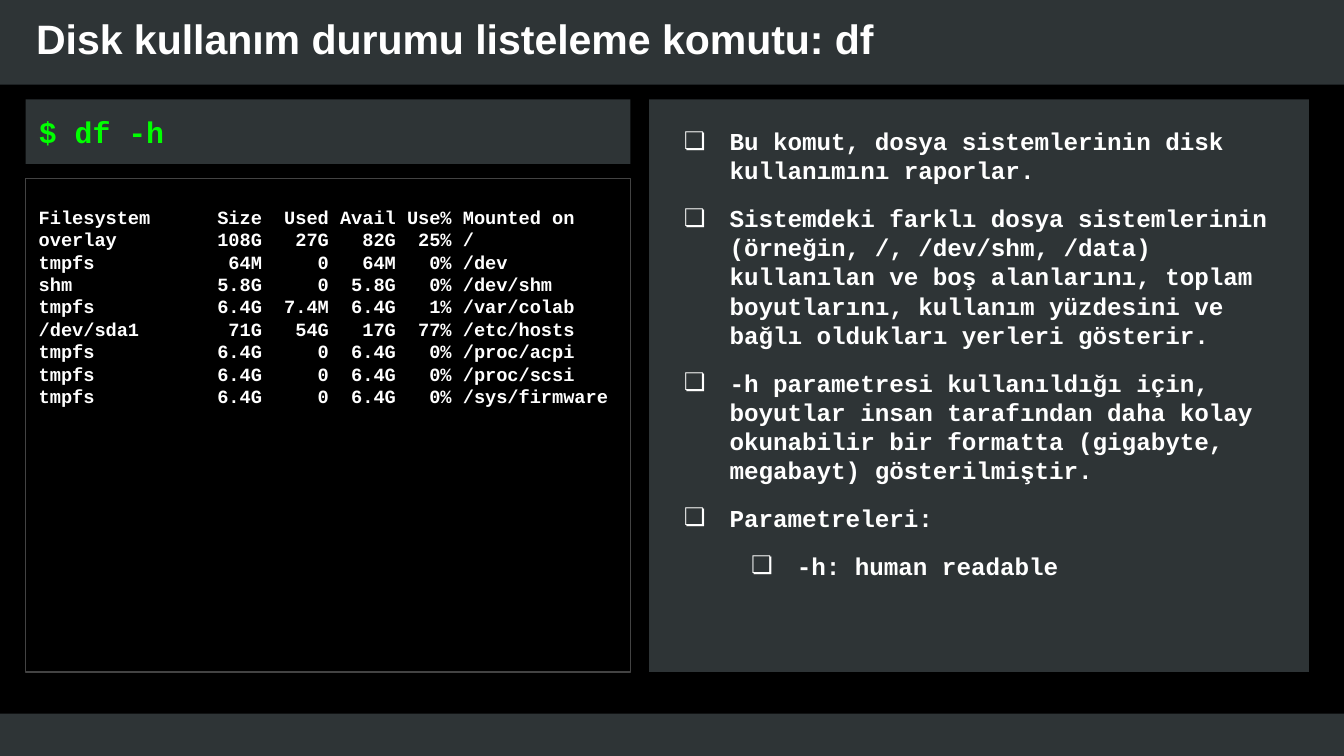
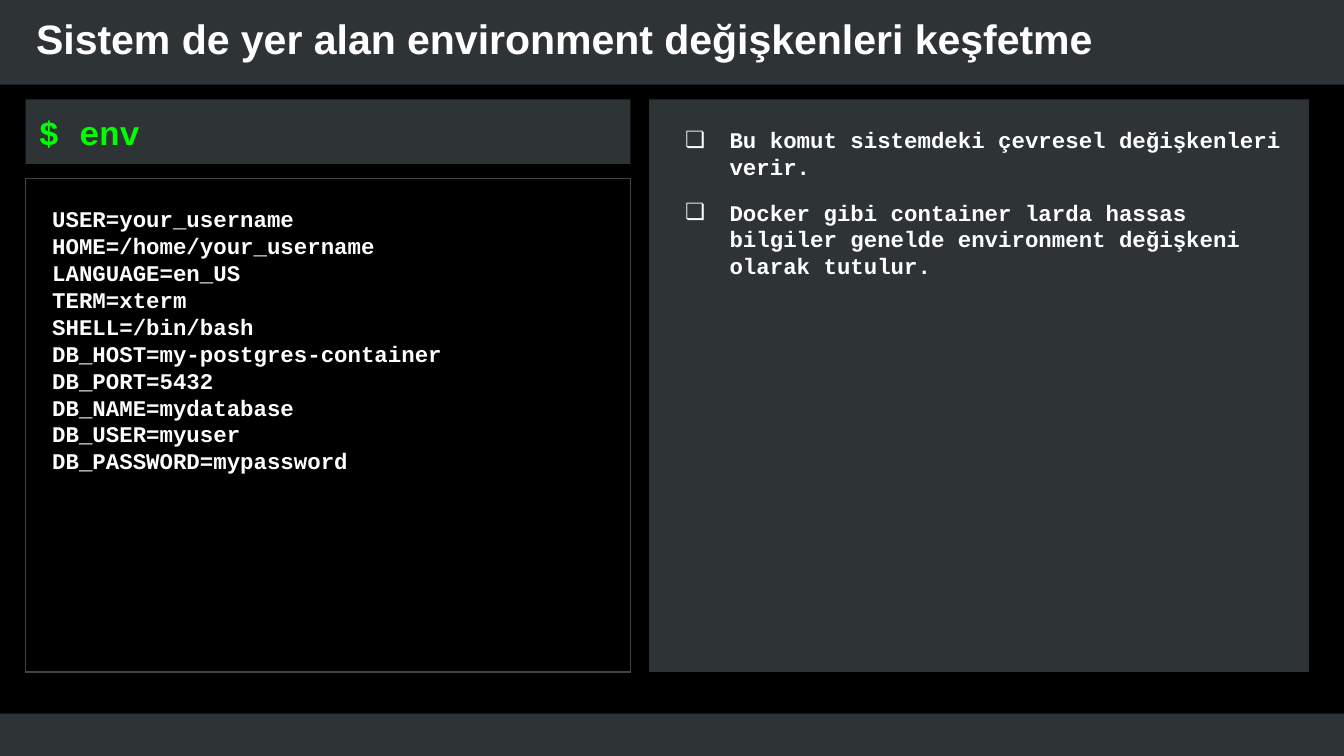
import pptx
import pptx.util
import pptx.dml.color
import pptx.enum.shapes
import pptx.enum.text
import pptx.oxml.ns
import lxml.etree

Inches = pptx.util.Inches
Pt = pptx.util.Pt
RGBColor = pptx.dml.color.RGBColor
Anchor = pptx.enum.text.MSO_ANCHOR

BLACK = RGBColor(0x00, 0x00, 0x00)
SLATE = RGBColor(0x2E, 0x34, 0x36)
GRAY = RGBColor(0x43, 0x43, 0x43)
WHITE = RGBColor(0xFF, 0xFF, 0xFF)
GREEN = RGBColor(0x00, 0xFF, 0x00)
SANS, MONO = "Arial", "Courier New"

WIDTH = 10
HEIGHT = WIDTH * 9 / 16
HEADER_BOTTOM, FOOTER_TOP = 0.63, 5.31
LEFT, TOP, BOTTOM = 0.19, 0.74, 5
LEFT_WIDTH, RIGHT, RIGHT_WIDTH = 4.5, 4.83, 4.91
COMMAND_HEIGHT, OUTPUT_TOP = 0.48, 1.33
PANEL_INSETS = (0.1, 0.2, 0.1, 0.1)

DISK_USAGE = [
    ("Filesystem", "Size", "Used", "Avail", "Use%", "Mounted on"),
    ("overlay", "108G", "27G", "82G", "25%", "/"),
    ("tmpfs", "64M", "0", "64M", "0%", "/dev"),
    ("shm", "5.8G", "0", "5.8G", "0%", "/dev/shm"),
    ("tmpfs", "6.4G", "7.4M", "6.4G", "1%", "/var/colab"),
    ("/dev/sda1", "71G", "54G", "17G", "77%", "/etc/hosts"),
    ("tmpfs", "6.4G", "0", "6.4G", "0%", "/proc/acpi"),
    ("tmpfs", "6.4G", "0", "6.4G", "0%", "/proc/scsi"),
    ("tmpfs", "6.4G", "0", "6.4G", "0%", "/sys/firmware"),
]

SLIDES = [
    {
        "title": "Disk kullanım durumu listeleme komutu: df",
        "command": "$ df -h",
        "command_size": 16,
        "output": [
            f"{name:<14}{size:>6}{used:>6}{avail:>6}{share:>5} {mount}"
            for name, size, used, avail, share, mount in DISK_USAGE
        ],
        "output_size": 10,
        "output_indent": 0,
        "notes": [
            (0, "Bu komut, dosya sistemlerinin disk kullanımını raporlar."),
            (0, "Sistemdeki farklı dosya sistemlerinin (örneğin, /, /dev/shm, /data) "
                "kullanılan ve boş alanlarını, toplam boyutlarını, kullanım yüzdesini "
                "ve bağlı oldukları yerleri gösterir."),
            (0, "-h parametresi kullanıldığı için, boyutlar insan tarafından daha kolay "
                "okunabilir bir formatta (gigabyte, megabayt) gösterilmiştir."),
            (0, "Parametreleri:"),
            (1, "-h: human readable"),
        ],
        "notes_size": 13,
        "hanging": 0.34,
    },
    {
        "title": "Sistem de yer alan environment değişkenleri keşfetme",
        "command": "$ env",
        "command_size": 18,
        "output": [
            "USER=your_username",
            "HOME=/home/your_username",
            "LANGUAGE=en_US",
            "TERM=xterm",
            "SHELL=/bin/bash",
            "DB_HOST=my-postgres-container",
            "DB_PORT=5432",
            "DB_NAME=mydatabase",
            "DB_USER=myuser",
            "DB_PASSWORD=mypassword",
        ],
        "output_size": 12,
        "output_indent": 0.1,
        "notes": [
            (0, "Bu komut sistemdeki çevresel değişkenleri verir."),
            (0, "Docker gibi container larda hassas bilgiler genelde environment "
                "değişkeni olarak tutulur."),
        ],
        "notes_size": 12,
        "hanging": 0.33,
    },
]


def add_panel(page, left, top, width, height, fill=None, line=None):
    panel = page.shapes.add_shape(
        pptx.enum.shapes.MSO_SHAPE.RECTANGLE,
        Inches(left), Inches(top), Inches(width), Inches(height))
    panel.shadow.inherit = False
    if fill is None:
        panel.fill.background()
    else:
        panel.fill.solid()
        panel.fill.fore_color.rgb = fill
    if line is None:
        panel.line.fill.background()
    else:
        panel.line.color.rgb = line
        panel.line.width = Pt(0.75)
    return panel


def set_frame(box, insets, anchor):
    frame = box.text_frame
    frame.word_wrap = True
    frame.vertical_anchor = anchor
    (frame.margin_left, frame.margin_top,
     frame.margin_right, frame.margin_bottom) = map(Inches, insets)
    return frame


def add_bullet(properties):
    tag = pptx.oxml.ns.qn
    color = lxml.etree.SubElement(properties, tag("a:buClr"))
    lxml.etree.SubElement(color, tag("a:srgbClr"), val=str(WHITE))
    lxml.etree.SubElement(properties, tag("a:buFont"), typeface=SANS)
    lxml.etree.SubElement(properties, tag("a:buChar"), char="❏")


def write(box, items, size, font=MONO, color=WHITE, indent=0, hanging=0,
          insets=PANEL_INSETS, anchor=Anchor.TOP):
    frame = set_frame(box, insets, anchor)
    for index, (level, text) in enumerate(items):
        para = frame.paragraphs[0] if index == 0 else frame.add_paragraph()
        para.text = text
        para.level = level
        para.alignment = pptx.enum.text.PP_ALIGN.LEFT
        properties = para._p.get_or_add_pPr()
        properties.set("marL", str(Inches(indent * (level + 1))))
        properties.set("indent", str(Inches(-hanging)))
        if hanging:
            add_bullet(properties)
            if index:
                para.space_before = Pt(10)
            if level:
                para.space_after = Pt(10)
        para.font.name = font
        para.font.size = Pt(size)
        para.font.bold = True
        para.font.color.rgb = color


def build_page(deck, content):
    page = deck.slides.add_slide(deck.slide_layouts[6])
    page.background.fill.solid()
    page.background.fill.fore_color.rgb = BLACK
    add_panel(page, 0, FOOTER_TOP, WIDTH, HEIGHT - FOOTER_TOP, SLATE)
    add_panel(page, 0, 0, WIDTH, HEADER_BOTTOM, SLATE)

    title = page.shapes.add_textbox(Inches(0.17), 0, Inches(8.58), Inches(0.56))
    write(title, [(0, content["title"])], 22, SANS,
          insets=(0.1,) * 4, anchor=Anchor.MIDDLE)

    output = add_panel(page, LEFT, OUTPUT_TOP, LEFT_WIDTH, BOTTOM - OUTPUT_TOP, line=GRAY)
    write(output, [(0, text) for text in content["output"]],
          content["output_size"], indent=content["output_indent"])

    command = add_panel(page, LEFT, TOP, LEFT_WIDTH, COMMAND_HEIGHT, SLATE)
    write(command, [(0, content["command"])], content["command_size"], color=GREEN,
          indent=0.1, insets=(0,) * 4, anchor=Anchor.MIDDLE)

    notes = add_panel(page, RIGHT, TOP, RIGHT_WIDTH, BOTTOM - TOP, SLATE)
    write(notes, content["notes"], content["notes_size"],
          indent=0.5, hanging=content["hanging"])


def main():
    deck = pptx.Presentation()
    deck.slide_width = Inches(WIDTH)
    deck.slide_height = Inches(HEIGHT)
    for content in SLIDES:
        build_page(deck, content)
    deck.save("out.pptx")


if __name__ == "__main__":
    main()
